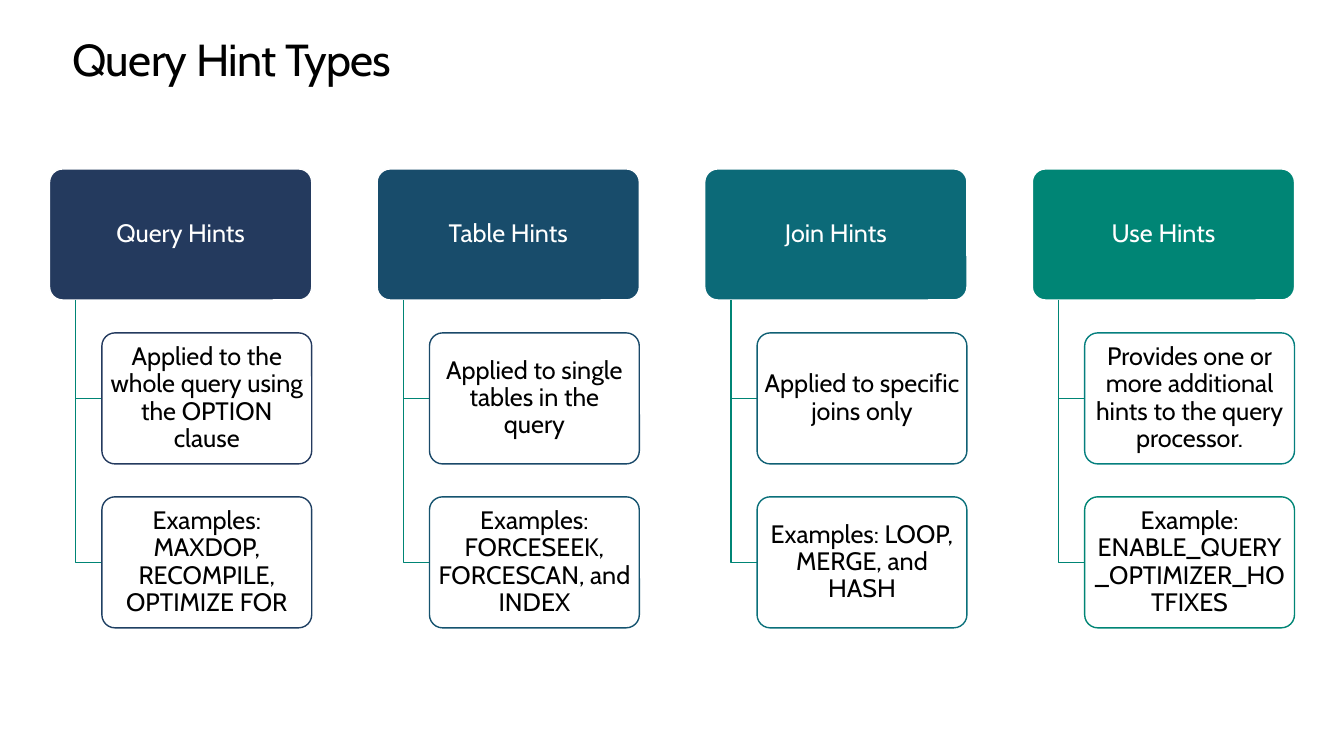
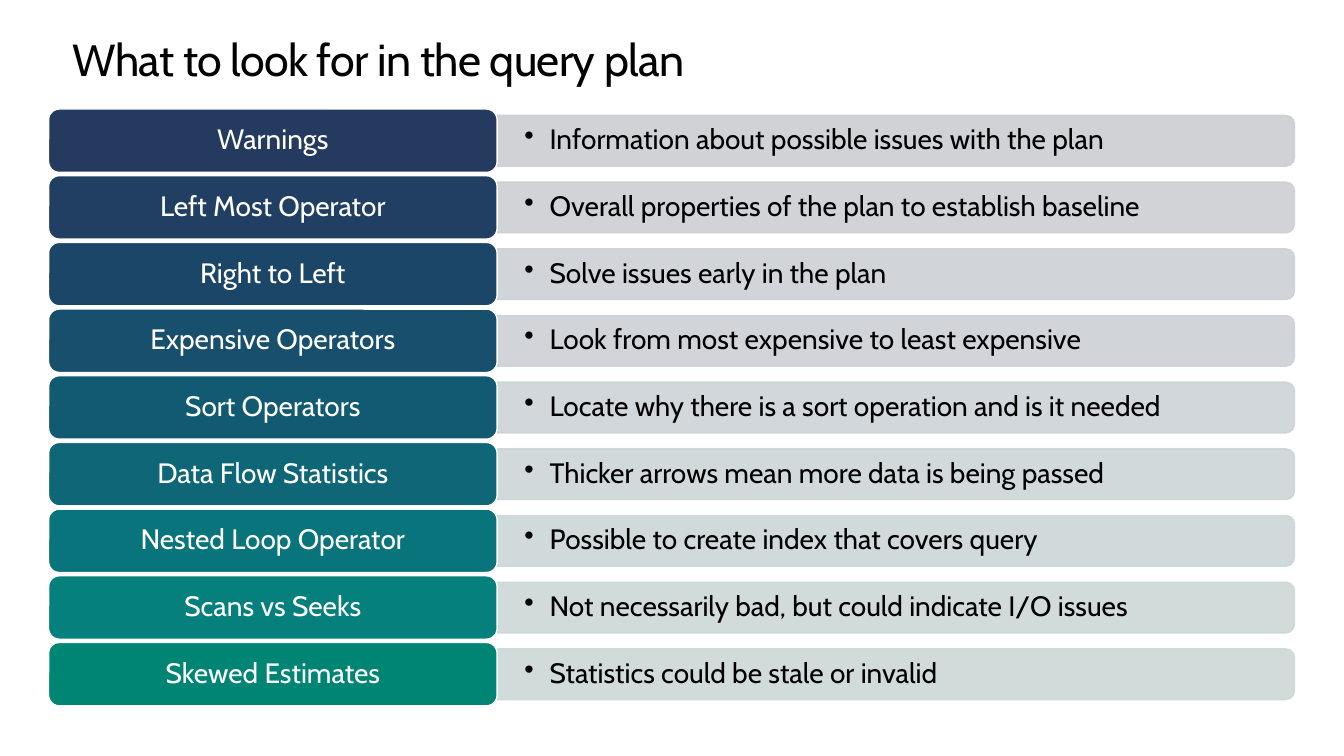
import colorsys

from lxml import etree
from pptx import Presentation
from pptx import util as u
from pptx.dml import color
from pptx.enum import shapes, text
from pptx.oxml import ns

# Palette: every series of shapes runs from a start colour to an end colour
NAVY = color.RGBColor(0x24, 0x3A, 0x5E)
TEAL = color.RGBColor(0x00, 0x85, 0x75)
PALE_NAVY = color.RGBColor(0xCD, 0xCE, 0xD2)
PALE_TEAL = color.RGBColor(0xCC, 0xD9, 0xD6)
WHITE = color.RGBColor(0xFF, 0xFF, 0xFF)
BLACK = color.RGBColor(0x00, 0x00, 0x00)

HINT_TYPES = [
    ("Query Hints", ["Applied to the whole query using the OPTION clause",
                     "Examples: MAXDOP, RECOMPILE, OPTIMIZE FOR"]),
    ("Table Hints", ["Applied to single tables in the query",
                     "Examples: FORCESEEK, FORCESCAN, and INDEX"]),
    ("Join Hints", ["Applied to specific joins only",
                    "Examples: LOOP, MERGE, and HASH"]),
    ("Use Hints", ["Provides one or more additional hints to the query processor.",
                   "Example: ENABLE_QUERY_OPTIMIZER_HOTFIXES"]),
]

PLAN_CHECKS = [
    ("Warnings", "Information about possible issues with the plan"),
    ("Left Most Operator", "Overall properties of the plan to establish baseline"),
    ("Right to Left", "Solve issues early in the plan"),
    ("Expensive Operators", "Look from most expensive to least expensive"),
    ("Sort Operators", "Locate why there is a sort operation and is it needed"),
    ("Data Flow Statistics", "Thicker arrows mean more data is being passed"),
    ("Nested Loop Operator", "Possible to create index that covers query"),
    ("Scans vs Seeks", "Not necessarily bad, but could indicate I/O issues"),
    ("Skewed Estimates", "Statistics could be stale or invalid"),
]


def blend(start, end, fraction):
    """Mix two colours by hue, lightness and saturation."""
    first, last = (colorsys.rgb_to_hls(*(part / 255 for part in rgb))
                   for rgb in (start, end))
    mixed = (a + (b - a) * fraction for a, b in zip(first, last))
    return color.RGBColor(*(round(part * 255) for part in colorsys.hls_to_rgb(*mixed)))


class Deck:
    """Holds the shared style and the current slide; lengths are in points."""

    font = "Cabin"
    title_size = 32

    def __init__(self):
        self.presentation = Presentation()
        self.presentation.slide_width = u.Pt(960)
        self.presentation.slide_height = u.Pt(540)
        self.slide = None

    def add_slide(self, title):
        self.slide = self.presentation.slides.add_slide(
            self.presentation.slide_layouts[6])
        paragraph = self.text_box(51.8, 25.2, 856.8, 36, title, self.title_size)
        paragraph.line_spacing = u.Pt(36.2)
        paragraph.runs[0]._r.get_or_add_rPr().set("spc", "-50")

    def set_text(self, shape, words, size, ink, align, anchor, inset):
        frame = shape.text_frame
        frame.word_wrap = True
        frame.vertical_anchor = anchor
        frame.margin_left = frame.margin_right = u.Pt(inset)
        frame.margin_top = frame.margin_bottom = 0
        paragraph = frame.paragraphs[0]
        paragraph.alignment = align
        paragraph.line_spacing = 0.9
        run = paragraph.add_run()
        run.text = words
        run.font.name = self.font
        run.font.size = u.Pt(size)
        run.font.color.rgb = ink
        return paragraph

    def text_box(self, left, top, width, height, words, size,
                 anchor=text.MSO_ANCHOR.TOP, inset=0):
        box = self.slide.shapes.add_textbox(*map(u.Pt, (left, top, width, height)))
        return self.set_text(box, words, size, BLACK, text.PP_ALIGN.LEFT, anchor, inset)

    def bullet(self, left, top, width, height, words, size):
        paragraph = self.text_box(left, top, width, height, words, size,
                                  text.MSO_ANCHOR.MIDDLE, 19.5)
        properties = paragraph._p.get_or_add_pPr()
        properties.set("marL", str(u.Pt(18)))
        properties.set("indent", str(-u.Pt(18)))
        etree.SubElement(properties, ns.qn("a:buChar")).set("char", "•")

    def paint(self, shape, fill, line):
        shape.shadow.inherit = False
        shape.fill.solid()
        shape.fill.fore_color.rgb = fill
        shape.line.color.rgb = line
        shape.line.width = u.Pt(1)

    def round_box(self, left, top, width, height, words, size, fill, line, ink,
                  corner, inset):
        box = self.slide.shapes.add_shape(
            shapes.MSO_SHAPE.ROUNDED_RECTANGLE,
            *map(u.Pt, (left, top, width, height)))
        box.adjustments[0] = corner
        self.paint(box, fill, line)
        self.set_text(box, words, size, ink, text.PP_ALIGN.CENTER,
                      text.MSO_ANCHOR.MIDDLE, inset)

    def strip(self, left, top, width, height, shade):
        """A bar with rounded right-hand corners, slightly transparent."""
        bar = self.slide.shapes.add_shape(
            shapes.MSO_SHAPE.ROUND_2_SAME_RECTANGLE,
            u.Pt(left + (width - height) / 2), u.Pt(top - (width - height) / 2),
            u.Pt(height), u.Pt(width))
        bar.rotation = 90
        self.paint(bar, shade, shade)
        for paint in bar.element.spPr.iter(ns.qn("a:srgbClr")):
            etree.SubElement(paint, ns.qn("a:alpha")).set("val", "90000")

    def elbow(self, left, top, right, bottom):
        builder = self.slide.shapes.build_freeform(u.Pt(left), u.Pt(top))
        builder.add_line_segments(
            [(u.Pt(left), u.Pt(bottom)), (u.Pt(right), u.Pt(bottom))], close=False)
        branch = builder.convert_to_shape()
        branch.shadow.inherit = False
        branch.fill.background()
        branch.line.color.rgb = TEAL
        branch.line.width = u.Pt(1)


def hint_types_slide(deck):
    deck.add_slide("Query Hint Types")
    left, top, pitch = 35.4, 120.7, 234
    width, height, step = 187.3, 93.6, 18.7
    row_pitch = 117.1
    card_count = sum(len(cards) for _, cards in HINT_TYPES)
    card_number = 0
    for column, (heading, cards) in enumerate(HINT_TYPES):
        x = left + column * pitch
        # Column heading
        shade = blend(NAVY, TEAL, column / (len(HINT_TYPES) - 1))
        deck.round_box(x, top, width, height, heading, 18, shade, WHITE, WHITE,
                       0.1, 2.7)
        # Branches and cards
        for row, words in enumerate(cards, start=1):
            y = top + row * row_pitch
            card_left = x + 2 * step
            deck.elbow(x + step, top + height, card_left, y + height / 2)
            outline = blend(NAVY, TEAL, card_number / (card_count - 1))
            deck.round_box(card_left, y, width - 2 * step, height, words, 18,
                           WHITE, outline, BLACK, 0.1, 2.7)
            card_number += 1


def plan_checks_slide(deck):
    deck.add_slide("What to look for in the query plan")
    left, top, pitch = 34.7, 77.9, 47.63
    label_width, label_height = 320.4, 45.3
    strip_width, strip_height = 569.5, 36.2
    strip_left = left + label_width
    for row, (label, advice) in enumerate(PLAN_CHECKS):
        fraction = row / (len(PLAN_CHECKS) - 1)
        y = top + row * pitch
        strip_top = y + (label_height - strip_height) / 2
        # Advice strip, then the label over its left edge
        deck.strip(strip_left, strip_top, strip_width, strip_height,
                   blend(PALE_NAVY, PALE_TEAL, fraction))
        deck.bullet(strip_left, strip_top, strip_width, strip_height, advice, 20)
        deck.round_box(left, y, label_width, label_height, label, 20,
                       blend(NAVY, TEAL, fraction), WHITE, WHITE, 0.17, 6)


def main():
    deck = Deck()
    hint_types_slide(deck)
    plan_checks_slide(deck)
    deck.presentation.save("out.pptx")


if __name__ == "__main__":
    main()
